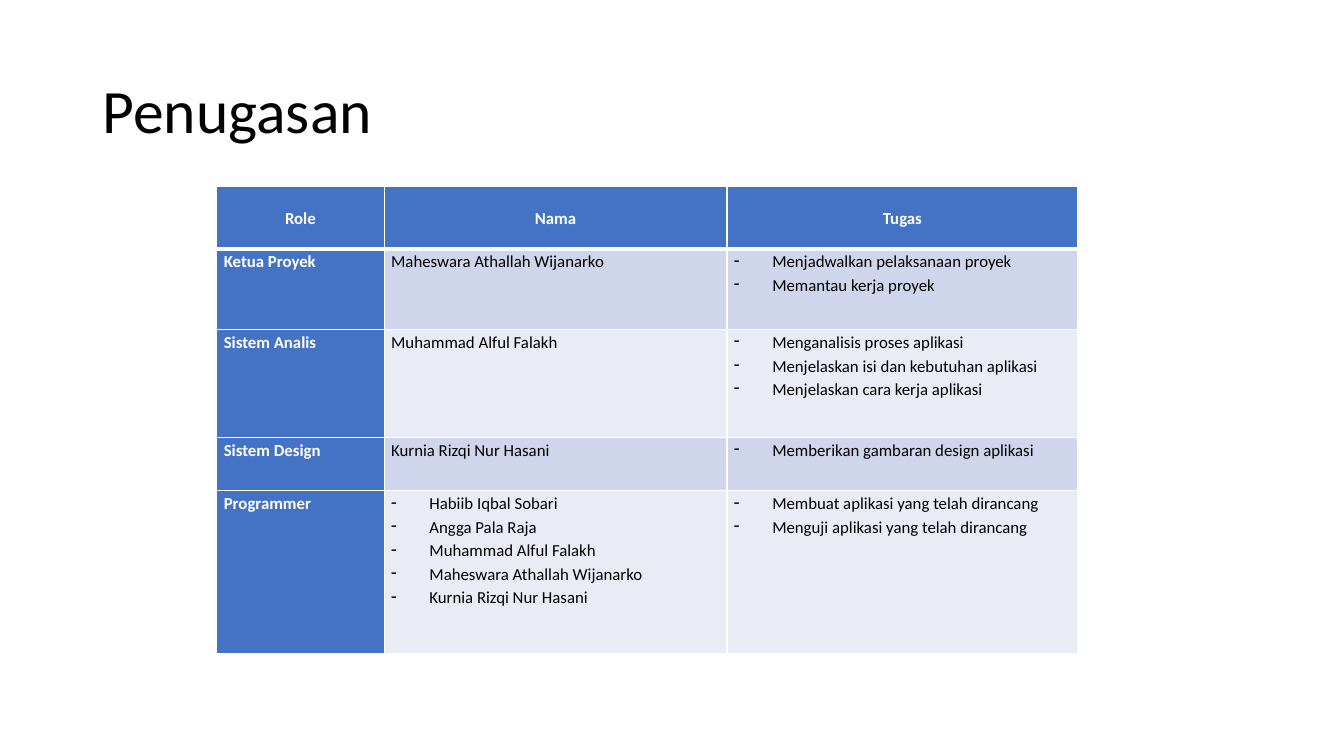
from dataclasses import dataclass

from lxml import etree
from pptx import Presentation
from pptx import util as u
from pptx.dml.color import RGBColor
from pptx.enum import text
from pptx.oxml.ns import qn

PX = 9144  # EMU per px, 100 px to the inch


@dataclass(frozen=True)
class Theme:
    font: str = "Calibri"
    title_size: int = 44
    table_size: int = 12
    ink: str = "000000"
    paper: str = "FFFFFF"
    accent: str = "4472C4"
    bands: tuple = ("CFD5EA", "E9EBF5")


THEME = Theme()

COLUMN_WIDTHS = (166, 340, 348)
ROW_HEIGHTS = (62, 80, 107, 53, 161)
HEADINGS = ("Role", "Nama", "Tugas")
# A list is shown with dashes, a plain string is not
ASSIGNMENTS = (
    ("Ketua Proyek", "Maheswara Athallah Wijanarko",
     ["Menjadwalkan pelaksanaan proyek", "Memantau kerja proyek"]),
    ("Sistem Analis", "Muhammad Alful Falakh",
     ["Menganalisis proses aplikasi",
      "Menjelaskan isi dan kebutuhan aplikasi",
      "Menjelaskan cara kerja aplikasi"]),
    ("Sistem Design", "Kurnia Rizqi Nur Hasani",
     ["Memberikan gambaran design aplikasi"]),
    ("Programmer",
     ["Habiib Iqbal Sobari", "Angga Pala Raja", "Muhammad Alful Falakh",
      "Maheswara Athallah Wijanarko", "Kurnia Rizqi Nur Hasani"],
     ["Membuat aplikasi yang telah dirancang",
      "Menguji aplikasi yang telah dirancang"]),
)


def px(length):
    return u.Emu(length * PX)


def add_run(paragraph, words, size, color, bold=False):
    run = paragraph.add_run()
    run.text = words
    run.font.name = THEME.font
    run.font.size = u.Pt(size)
    run.font.bold = bold
    run.font.color.rgb = RGBColor.from_string(color)


def add_dash(paragraph, indent=38):
    properties = paragraph._p.get_or_add_pPr()
    properties.set("marL", str(px(indent)))
    properties.set("indent", str(-px(indent)))
    etree.SubElement(properties, qn("a:buChar")).set("char", "-")


def set_borders(cell, top=1, bottom=1):
    properties = cell._tc.get_or_add_tcPr()
    widths = {"lnL": 1, "lnR": 1, "lnT": top, "lnB": bottom}
    for position, (side, width) in enumerate(widths.items()):
        line = etree.Element(qn(f"a:{side}"), w=str(u.Pt(width)))
        fill = etree.SubElement(line, qn("a:solidFill"))
        etree.SubElement(fill, qn("a:srgbClr")).set("val", THEME.paper)
        properties.insert(position, line)


def fill_cell(cell, content, fill, color, bold, alignment):
    cell.fill.solid()
    cell.fill.fore_color.rgb = RGBColor.from_string(fill)
    cell.margin_left = cell.margin_right = px(7)
    cell.margin_top = cell.margin_bottom = 0
    listed = isinstance(content, list)
    lines = content if listed else [content]
    frame = cell.text_frame
    for index, words in enumerate(lines):
        paragraph = frame.add_paragraph() if index else frame.paragraphs[0]
        paragraph.alignment = alignment
        paragraph.line_spacing = 1.15
        paragraph.space_after = u.Pt(8 if index == len(lines) - 1 else 0)
        if listed:
            add_dash(paragraph)
        add_run(paragraph, words, THEME.table_size, color, bold)


def add_title(slide, words, left, top, width, height):
    shape = slide.shapes.add_textbox(px(left), px(top), px(width), px(height))
    frame = shape.text_frame
    frame.word_wrap = True
    frame.vertical_anchor = text.MSO_ANCHOR.MIDDLE
    paragraph = frame.paragraphs[0]
    paragraph.line_spacing = 0.9
    add_run(paragraph, words, THEME.title_size, THEME.ink)


def add_assignment_table(slide, left, top):
    shape = slide.shapes.add_table(
        len(ROW_HEIGHTS), len(COLUMN_WIDTHS), px(left), px(top),
        px(sum(COLUMN_WIDTHS)), px(sum(ROW_HEIGHTS)))
    table = shape.table
    table.first_col = True
    for column, width in zip(table.columns, COLUMN_WIDTHS):
        column.width = px(width)
    for row, height in zip(table.rows, ROW_HEIGHTS):
        row.height = px(height)

    # Header row, with a heavy rule beneath
    for column, heading in enumerate(HEADINGS):
        cell = table.cell(0, column)
        fill_cell(cell, heading, THEME.accent, THEME.paper, True,
                  text.PP_ALIGN.CENTER)
        cell.vertical_anchor = text.MSO_ANCHOR.MIDDLE
        set_borders(cell, bottom=3)

    # Roles in the accent colour, names and tasks on alternating bands
    for row, assignment in enumerate(ASSIGNMENTS, start=1):
        band = THEME.bands[(row - 1) % 2]
        for column, content in enumerate(assignment):
            is_role = column == 0
            cell = table.cell(row, column)
            fill_cell(cell, content, THEME.accent if is_role else band,
                      THEME.paper if is_role else THEME.ink, is_role,
                      text.PP_ALIGN.JUSTIFY)
            set_borders(cell, top=3 if row == 1 else 1)


def main():
    presentation = Presentation()
    presentation.slide_width, presentation.slide_height = px(1333), px(750)
    slide = presentation.slides.add_slide(presentation.slide_layouts[6])
    add_title(slide, "Penugasan", 92, 40, 1150, 145)
    add_assignment_table(slide, 215, 185)
    presentation.save("out.pptx")


if __name__ == "__main__":
    main()
